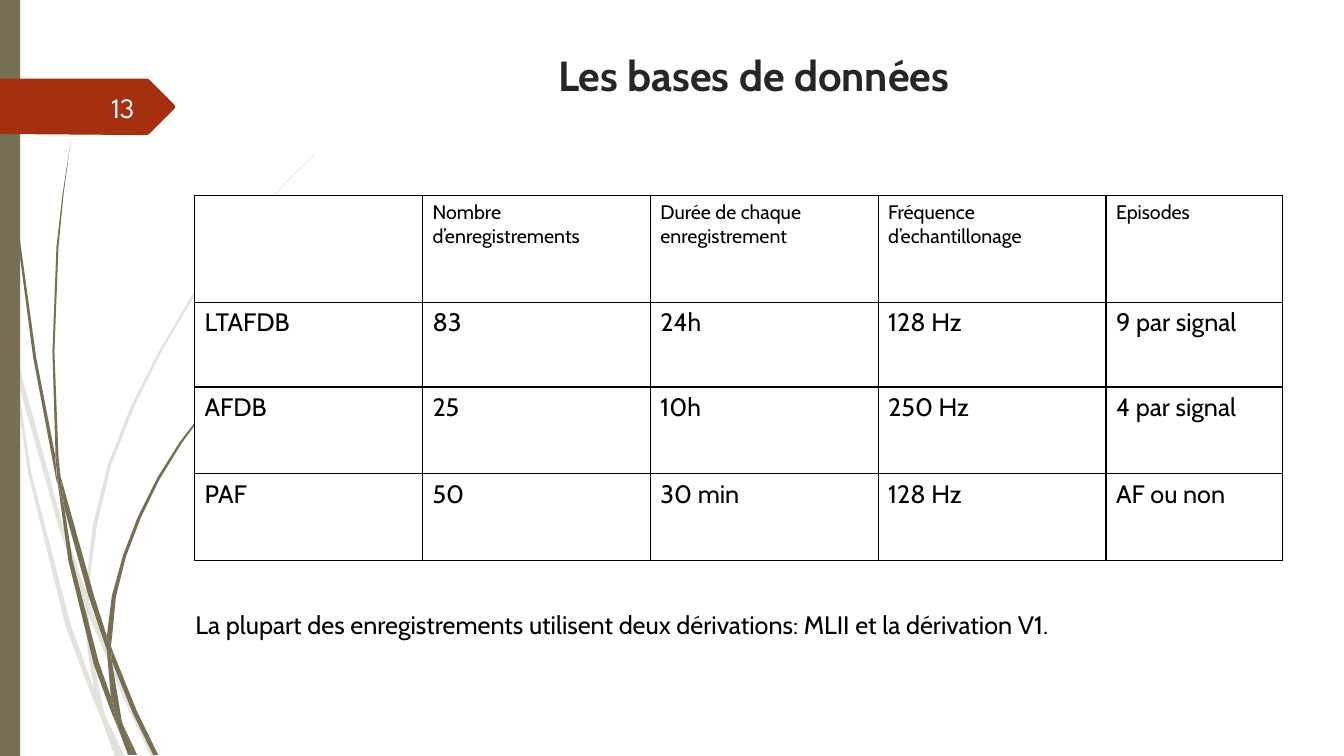
from pptx import Presentation
from pptx.dml.color import RGBColor
from pptx.enum.shapes import MSO_SHAPE
from pptx.enum.text import MSO_ANCHOR, MSO_AUTO_SIZE, PP_ALIGN
from pptx.oxml.ns import qn
from pptx.util import Inches, Pt
from lxml.etree import SubElement

OLIVE = RGBColor(0x76, 0x6F, 0x54)
RUST = RGBColor(0xA5, 0x30, 0x10)
CHARCOAL = RGBColor(0x26, 0x26, 0x26)
BLACK = RGBColor(0, 0, 0)
WHITE = RGBColor(0xFF, 0xFF, 0xFF)
NEAR_WHITE = RGBColor(0xFE, 0xFF, 0xFF)

# Outlines of the grass blades, in inches on the slide
PALE_BLADES = [
    [(0.11, 3.5), (0.09, 3.22), (0, 2.82), (0, 2.99), (0.1, 3.44)],
    [(0.58, 5.22), (0.84, 5.99), (0.85, 5.86), (0.62, 5.2), (0.14, 3.45), (0.17, 3.76)],
    [(0.92, 6.07), (0.88, 5.96), (0.88, 6.1), (1.23, 6.94), (1.5, 7.51), (1.55, 7.51),
     (1.27, 6.92)],
    [(1.19, 7.51), (1.24, 7.51), (1.05, 7.11)],
    [(0.93, 6.83), (0.7, 6.19), (0.31, 4.69), (0.17, 3.76), (0.11, 3.5), (0.28, 4.7),
     (0.65, 6.21), (0.92, 6.93), (1.01, 7.14), (0.99, 7.07)],
    [(0.84, 5.99), (0.87, 6.46), (0.93, 6.83), (0.96, 6.92), (1.05, 7.11), (1.03, 7.06),
     (0.91, 6.46), (0.88, 6.1), (0.88, 6.08)],
    [(0.88, 5.84), (0.96, 5.22), (1.1, 4.62), (1.33, 4.04), (1.6, 3.49), (1.92, 2.95),
     (2.29, 2.45), (2.68, 1.98), (2.9, 1.75), (3.12, 1.54), (3.12, 1.53), (2.89, 1.75),
     (2.68, 1.97), (2.28, 2.44), (1.9, 2.94), (1.58, 3.48), (1.3, 4.03), (1.07, 4.61),
     (0.92, 5.22), (0.85, 5.84), (0.85, 5.86), (0.88, 5.96)],
    [(1.01, 7.14), (1.14, 7.51), (1.19, 7.51)],
    [(0.88, 6.08), (0.88, 6.1), (0.88, 5.96), (0.85, 5.86), (0.84, 5.99)],
    [(0.96, 6.92), (0.93, 6.83), (0.99, 7.07), (1.01, 7.14), (1.19, 7.51), (1.05, 7.11)],
]
DARK_BLADES = [
    [(0.07, 1.1), (0.17, 2.33), (0.33, 3.55), (0.56, 4.77), (0.57, 4.81), (0.55, 4.57),
     (0.55, 4.53), (0.36, 3.55), (0.19, 2.32), (0.08, 1.09), (0.05, 0.48), (0.04, 0),
     (0.03, 0), (0.04, 0.48)],
    [(0.88, 5.92), (1.06, 6.45), (1.06, 6.33), (1.06, 6.31), (0.93, 5.9), (0.6, 4.72),
     (0.64, 5.05)],
    [(1.13, 6.49), (1.1, 6.41), (1.11, 6.56), (1.32, 7.08), (1.52, 7.49), (1.57, 7.49),
     (1.36, 7.06)],
    [(1.1, 6.91), (0.98, 6.57), (0.72, 5.56), (0.64, 5.05), (0.57, 4.77), (0.68, 5.57),
     (0.93, 6.59), (1.11, 7.08), (1.17, 7.22), (1.16, 7.17)],
    [(0.6, 4.72), (0.58, 4.53), (0.54, 3.49), (0.58, 2.45), (0.63, 1.93), (0.7, 1.41),
     (0.62, 1.93), (0.56, 2.45), (0.52, 3.49), (0.55, 4.49)],
    [(1.33, 7.49), (1.36, 7.49), (1.22, 7.19)],
    [(0.57, 4.77), (0.64, 5.05), (0.6, 4.72), (0.55, 4.49), (0.55, 4.53)],
    [(1.11, 6.33), (1.15, 5.92), (1.25, 5.52), (1.4, 5.13), (1.58, 4.76), (1.8, 4.4),
     (2.05, 4.06), (2.31, 3.74), (2.45, 3.59), (2.61, 3.44), (2.6, 3.44), (2.45, 3.58),
     (2.31, 3.73), (2.04, 4.05), (1.78, 4.39), (1.56, 4.74), (1.37, 5.12), (1.22, 5.51),
     (1.11, 5.91), (1.06, 6.31), (1.1, 6.41)],
    [(1.17, 7.22), (1.27, 7.49), (1.31, 7.49)],
    [(1.06, 6.45), (1.1, 6.91), (1.16, 7.06), (1.22, 7.19), (1.21, 7.16), (1.11, 6.56),
     (1.09, 6.51)],
    [(1.06, 6.45), (1.09, 6.51), (1.11, 6.56), (1.1, 6.41), (1.06, 6.31), (1.06, 6.33)],
    [(1.16, 7.06), (1.1, 6.91), (1.16, 7.17), (1.17, 7.22), (1.3, 7.49), (1.33, 7.49),
     (1.22, 7.19)],
]
NUMBER_TAG = [(1.74, 1.06), (1.73, 1.08), (1.48, 1.33), (1.46, 1.34), (1.36, 1.34),
              (0, 1.33), (0, 0.78), (1.46, 0.78), (1.48, 0.79), (1.73, 1.04)]

COLUMN_WIDTHS = [2.26, 2.26, 2.26, 2.26, 1.75]
ROW_HEIGHTS = [1.06, 0.84, 0.86, 0.86]
DATABASES = [
    ["", "Nombre d’enregistrements", "Durée de chaque enregistrement",
     "Fréquence d’echantillonage", "Episodes"],
    ["LTAFDB", "83", "24h", "128 Hz", "9 par signal"],
    ["AFDB", "25", "10h", "250 Hz", "4 par signal"],
    ["PAF", "50", "30 min", "128 Hz", "AF ou non"],
]


def paint(shape, color):
    shape.shadow.inherit = False
    shape.fill.solid()
    shape.fill.fore_color.rgb = color
    shape.line.fill.background()


def add_outline(shapes, points, color, opacity=100):
    corners = [(Inches(x), Inches(y)) for x, y in points]
    builder = shapes.build_freeform(*corners[0])
    builder.add_line_segments(corners[1:], close=True)
    outline = builder.convert_to_shape()
    paint(outline, color)
    if opacity < 100:
        tint = outline.fill._xPr.find(qn("a:solidFill"))[0]
        SubElement(tint, qn("a:alpha"), val=str(opacity * 1000))


def style_text(para, size, color, font="Cabin", bold=False):
    for span in para.runs:
        span.font.name = font
        span.font.size = Pt(size)
        span.font.bold = bold
        span.font.color.rgb = color


def add_text(page, text, left, top, width, height, align, size, color, **font):
    box = page.shapes.add_textbox(Inches(left), Inches(top), Inches(width), Inches(height))
    frame = box.text_frame
    frame.word_wrap = True
    frame.text = text
    para = frame.paragraphs[0]
    para.alignment = align
    style_text(para, size, color, **font)
    return frame


def add_borders(cell):
    properties = cell._tc.get_or_add_tcPr()
    for position, side in enumerate(("lnL", "lnR", "lnT", "lnB")):
        border = SubElement(properties, qn(f"a:{side}"), w=str(Pt(1)))
        fill = SubElement(border, qn("a:solidFill"))
        SubElement(fill, qn("a:srgbClr"), val=str(BLACK))
        properties.insert(position, border)


def add_database_table(page):
    table = page.shapes.add_table(
        len(ROW_HEIGHTS), len(COLUMN_WIDTHS), Inches(1.93), Inches(1.94),
        Inches(sum(COLUMN_WIDTHS)), Inches(sum(ROW_HEIGHTS))).table
    for column, width in zip(table.columns, COLUMN_WIDTHS):
        column.width = Inches(width)
    for row, height in zip(table.rows, ROW_HEIGHTS):
        row.height = Inches(height)
    for row_index, values in enumerate(DATABASES):
        for column_index, value in enumerate(values):
            cell = table.cell(row_index, column_index)
            cell.text = value
            cell.fill.solid()
            cell.fill.fore_color.rgb = WHITE
            style_text(cell.text_frame.paragraphs[0], 18 if row_index else 14, BLACK)
            add_borders(cell)


def main():
    deck = Presentation()
    deck.slide_width, deck.slide_height = Inches(13.33), Inches(7.5)
    page = deck.slides.add_slide(deck.slide_layouts[6])

    # Grass, side band and number tag
    for blades, opacity in ((PALE_BLADES, 20), (DARK_BLADES, 100)):
        grass = page.shapes.add_group_shape()
        for blade in blades:
            add_outline(grass.shapes, blade, OLIVE, opacity)
    band = page.shapes.add_shape(MSO_SHAPE.RECTANGLE, 0, 0, Inches(0.2), Inches(7.5))
    paint(band, OLIVE)
    add_outline(page.shapes, NUMBER_TAG, RUST)

    # Title and slide number
    add_text(page, "Les bases de données", 1.84, 0.44, 11.27, 0.82,
             PP_ALIGN.CENTER, 30, CHARCOAL, bold=True)
    number = add_text(page, "13", 0.58, 0.86, 0.85, 0.4,
                      PP_ALIGN.RIGHT, 20, NEAR_WHITE, font="League Spartan")
    number.vertical_anchor = MSO_ANCHOR.MIDDLE

    # Table and remark below it
    add_database_table(page)
    remark = add_text(
        page,
        "La plupart des enregistrements utilisent deux dérivations: MLII et la dérivation V1.",
        1.84, 5.85, 10.88, 0.56, PP_ALIGN.JUSTIFY, 18, BLACK)
    remark.auto_size = MSO_AUTO_SIZE.SHAPE_TO_FIT_TEXT
    remark.paragraphs[0].line_spacing = 1.5

    deck.save("out.pptx")


if __name__ == "__main__":
    main()
